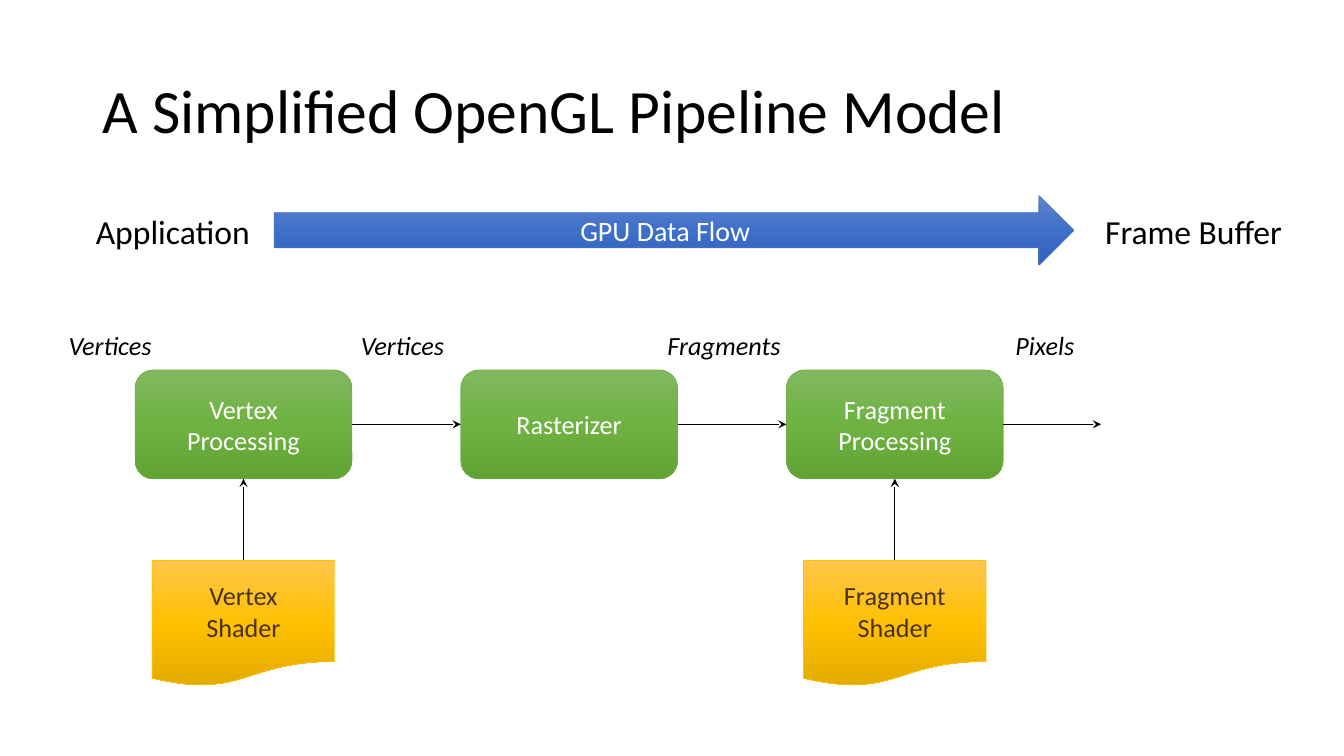
from copy import deepcopy

from lxml.etree import SubElement
from pptx import Presentation
from pptx.dml.color import RGBColor
from pptx.enum.shapes import MSO_CONNECTOR, MSO_SHAPE
from pptx.enum.text import MSO_ANCHOR, PP_ALIGN
from pptx.oxml.ns import qn
from pptx.util import Inches, Pt

FONT = "Calibri"
BLACK = RGBColor(0x00, 0x00, 0x00)
WHITE = RGBColor(0xFF, 0xFF, 0xFF)
BROWN = RGBColor(0x48, 0x32, 0x25)

# Each palette: outline, then gradient from top to bottom
GREEN = (RGBColor(0x70, 0xAD, 0x47), RGBColor(0x81, 0xB8, 0x61),
         RGBColor(0x6F, 0xB2, 0x42), RGBColor(0x62, 0xA3, 0x36))
GOLD = (RGBColor(0xFF, 0xC0, 0x00), RGBColor(0xFF, 0xC6, 0x4B),
        RGBColor(0xFF, 0xC0, 0x00), RGBColor(0xE3, 0xAB, 0x00))
BLUE = (RGBColor(0x44, 0x72, 0xC4), RGBColor(0x61, 0x83, 0xCB),
        RGBColor(0x3E, 0x70, 0xCA), RGBColor(0x30, 0x62, 0xBB))

TITLE = "A Simplified OpenGL Pipeline Model"
FLOW = "GPU Data Flow"
# Stage text and the text of the shader feeding it; \v is a line break
STAGES = [("Vertex\vProcessing", "Vertex\nShader"),
          ("Rasterizer", None),
          ("Fragment Processing", "Fragment\nShader")]
# Text, left, width
ENDS = [("Application", 0.78, 1.88), ("Frame Buffer", 10.79, 2.11)]
DATA = [("Vertices", 0.51, 1.17), ("Vertices", 3.41, 1.17),
        ("Fragments", 6.45, 1.47), ("Pixels", 9.9, 0.93)]

STAGE_LEFT, STAGE_TOP, STAGE_W, STAGE_H, STAGE_STEP = 1.34, 3.67, 2.15, 1.08, 3.23
SHADER_TOP, SHADER_W, SHADER_H = 5.56, 1.81, 1.25
OUTPUT_END = 10.92
TOP, LEFT, BOTTOM, RIGHT = range(4)  # connection sites
BODY_SIZE = 18.7

prs = Presentation()
prs.slide_width, prs.slide_height = Inches(13.33), Inches(7.5)
s = prs.slides.add_slide(prs.slide_layouts[6])


def write(sp, text, size, color, align=PP_ALIGN.LEFT, italic=False):
    tf = sp.text_frame
    tf.text = text
    tf.margin_left = tf.margin_right = Inches(0.17)
    tf.margin_top = tf.margin_bottom = Inches(0.08)
    for p in tf.paragraphs:
        p.alignment = align
        for r in p.runs:
            r.font.name, r.font.size = FONT, Pt(size)
            r.font.color.rgb, r.font.italic = color, italic
    return tf


def add_label(text, left, top, width, height, size, italic=False):
    box = s.shapes.add_textbox(*map(Inches, (left, top, width, height)))
    tf = write(box, text, size, BLACK, italic=italic)
    tf.word_wrap = False
    return tf


def add_block(kind, text, box, palette, size, color):
    """Add a shape with a vertical three-stop gradient and centred text."""
    sp = s.shapes.add_shape(kind, *map(Inches, box))
    sp.shadow.inherit = False
    outline, *shades = palette
    sp.line.color.rgb, sp.line.width = outline, Pt(0.5)
    sp.fill.gradient()
    sp.fill.gradient_angle = 270
    stops = sp._element.spPr.find(qn("a:gradFill")).find(qn("a:gsLst"))
    stops.append(deepcopy(stops[0]))
    for i, (stop, shade) in enumerate(zip(sp.fill.gradient_stops, shades)):
        stop.position, stop.color.rgb = i / 2, shade
    tf = write(sp, text, size, color, PP_ALIGN.CENTER)
    tf.word_wrap, tf.vertical_anchor = True, MSO_ANCHOR.MIDDLE
    return sp


def add_arrow(source, source_site, target=None, target_site=None):
    """Link two blocks; without a target, lead out to the right."""
    y = Inches(STAGE_TOP + STAGE_H / 2)
    line = s.shapes.add_connector(MSO_CONNECTOR.STRAIGHT, y, y, Inches(OUTPUT_END), y)
    line.begin_connect(source, source_site)
    if target is not None:
        line.end_connect(target, target_site)
    line.line.color.rgb, line.line.width = BLACK, Pt(0.5)
    SubElement(line.line._get_or_add_ln(), qn("a:tailEnd"), type="stealth")
    SubElement(line._element.spPr, qn("a:effectLst"))


title = add_label(TITLE, 0.92, 0.4, 11.5, 1.45, 44)
title.word_wrap, title.vertical_anchor = True, MSO_ANCHOR.MIDDLE
title.margin_left = title.margin_right = Inches(0.1)
title.paragraphs[0].line_spacing = 0.9

add_block(MSO_SHAPE.RIGHT_ARROW, FLOW, (2.72, 1.94, 7.93, 0.69), BLUE, 20, WHITE)
for text, left, width in ENDS:
    add_label(text, left, 2.01, width, 0.57, 24)

previous = None
for i, (stage_text, shader_text) in enumerate(STAGES):
    left = STAGE_LEFT + i * STAGE_STEP
    stage = add_block(MSO_SHAPE.ROUNDED_RECTANGLE, stage_text,
                      (left, STAGE_TOP, STAGE_W, STAGE_H), GREEN, BODY_SIZE, WHITE)
    if previous is not None:
        add_arrow(previous, RIGHT, stage, LEFT)
    if shader_text:
        shader_left = left + (STAGE_W - SHADER_W) / 2
        shader = add_block(MSO_SHAPE.FLOWCHART_DOCUMENT, shader_text,
                           (shader_left, SHADER_TOP, SHADER_W, SHADER_H),
                           GOLD, BODY_SIZE, BROWN)
        add_arrow(shader, TOP, stage, BOTTOM)
    previous = stage
add_arrow(previous, RIGHT)

for text, left, width in DATA:
    add_label(text, left, 3.19, width, 0.48, BODY_SIZE, italic=True)

prs.save("out.pptx")
